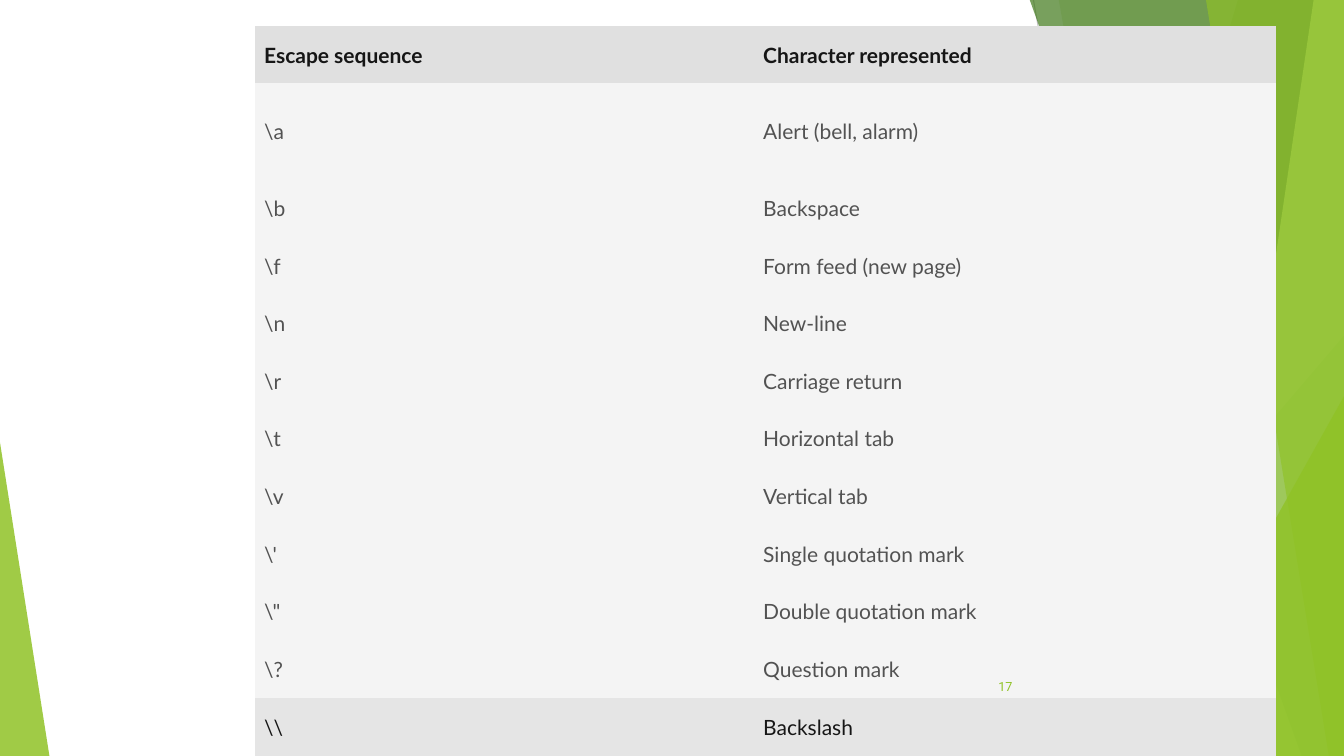
from collections import namedtuple

from lxml import etree
from pptx import Presentation
from pptx import util as u
from pptx.dml.color import RGBColor
from pptx.enum import shapes, text
from pptx.oxml import ns

PX = 9144
Box = namedtuple("Box", "left top width height")

WHITE = RGBColor(0xFF, 0xFF, 0xFF)
GREEN = RGBColor(0x90, 0xC2, 0x26)
LEAF = RGBColor(0x54, 0xA0, 0x21)
FOREST = RGBColor(0x3F, 0x78, 0x19)
LIME = RGBColor(0xC0, 0xE4, 0x74)
RULE_DARK = RGBColor(0xBF, 0xBF, 0xBF)
RULE_LIGHT = RGBColor(0xD9, 0xD9, 0xD9)
HEADER_FILL = RGBColor(0xE0, 0xE0, 0xE0)
BODY_FILL = RGBColor(0xF4, 0xF4, 0xF4)
LAST_FILL = RGBColor(0xE5, 0xE5, 0xE5)
INK = RGBColor(0x16, 0x16, 0x16)
GREY = RGBColor(0x52, 0x52, 0x52)

PAGE = Box(0, 0, 1333, 750)
ROWS = [
    ("Escape sequence", "Character represented"),
    (r"\a", "Alert (bell, alarm)"),
    (r"\b", "Backspace"),
    (r"\f", "Form feed (new page)"),
    (r"\n", "New-line"),
    (r"\r", "Carriage return"),
    (r"\t", "Horizontal tab"),
    (r"\v", "Vertical tab"),
    (r"\'", "Single quotation mark"),
    (r"\"", "Double quotation mark"),
    (r"\?", "Question mark"),
    (r"\\", "Backslash"),
]


def emu(*lengths):
    return [u.Emu(round(length * PX)) for length in lengths]


def paint(shape, color, opacity):
    shape.shadow.inherit = False
    shape.line.fill.background()
    shape.fill.solid()
    shape.fill.fore_color.rgb = color
    tint = shape.fill._xPr.find(".//" + ns.qn("a:srgbClr"))
    etree.SubElement(tint, ns.qn("a:alpha"), val=str(opacity * 1000))


def add_rule(page, start, end, color):
    rule = page.shapes.add_connector(shapes.MSO_CONNECTOR.STRAIGHT, *emu(*start, *end))
    rule.line.color.rgb = color
    rule.line.width = u.Pt(0.75)
    etree.SubElement(rule._element.spPr, ns.qn("a:effectLst"))


def add_band(page, box, top_x, bottom_x, color, opacity):
    right, bottom = box.left + box.width, box.top + box.height
    top = box.top - 1
    outline = page.shapes.build_freeform(box.left + top_x, top, scale=PX)
    outline.add_line_segments(
        [(right, top), (right, bottom), (box.left + bottom_x, bottom)], close=True)
    paint(outline.convert_to_shape(), color, opacity)


def add_corner(page, box, apex, color, opacity):
    corner = page.shapes.add_shape(shapes.MSO_SHAPE.ISOSCELES_TRIANGLE, *emu(*box))
    corner.adjustments[0] = apex
    paint(corner, color, opacity)


def add_right_corner(page, box, left, top, color, opacity):
    place = Box(box.left + left, box.top + top, box.width - left, box.height - top)
    add_corner(page, place, 1, color, opacity)


def add_facets(page, box):
    right, bottom = box.left + box.width, box.top + box.height
    add_rule(page, (box.left + 1025, box.top), (box.left + 1158, bottom), RULE_DARK)
    add_rule(page, (right, box.top + 403), (box.left + 812, bottom), RULE_LIGHT)
    add_band(page, box, 1228, 1004, GREEN, 30)
    add_band(page, box, 1050, 1183, GREEN, 20)
    add_right_corner(page, box, 977, 333, LEAF, 72)
    add_band(page, box, 1021, 1291, FOREST, 70)
    add_band(page, box, 1303, 1192, LIME, 70)
    add_band(page, box, 1196, 1318, GREEN, 65)
    add_right_corner(page, box, 1134, 393, GREEN, 80)
    add_corner(page, Box(box.left, bottom - 311, 49, 311), 0, GREEN, 85)


def set_borders(cell, top, bottom):
    properties = cell._tc.get_or_add_tcPr()
    for side, color in (("L", None), ("R", None), ("T", top), ("B", bottom)):
        line = etree.SubElement(properties, ns.qn(f"a:ln{side}"), w=str(u.Pt(0.75)))
        if color is None:
            etree.SubElement(line, ns.qn("a:noFill"))
        else:
            fill = etree.SubElement(line, ns.qn("a:solidFill"))
            etree.SubElement(fill, ns.qn("a:srgbClr"), val=str(color))


def fill_cell(cell, words, fill, ink, bold, borders):
    cell.margin_left, cell.margin_top, cell.margin_right, cell.margin_bottom = emu(9, 4, 9, 4)
    cell.vertical_anchor = text.MSO_ANCHOR.MIDDLE
    set_borders(cell, *borders)
    cell.fill.solid()
    cell.fill.fore_color.rgb = fill
    cell.text = words
    font = cell.text_frame.paragraphs[0].font
    font.name, font.size, font.bold = "Lato", u.Pt(15), bold
    font.color.rgb = ink


def add_escape_table(page, box):
    table = page.shapes.add_table(len(ROWS), 2, *emu(*box)).table
    first_width, alert_height = 495, 95
    table.columns[0].width, table.columns[1].width = emu(first_width, box.width - first_width)
    row_height = (box.height - alert_height) / (len(ROWS) - 1)
    last = len(ROWS) - 1
    for index, row in enumerate(ROWS):
        table.rows[index].height = emu(alert_height if index == 1 else row_height)[0]
        fill, ink, borders = BODY_FILL, GREY, (BODY_FILL, BODY_FILL)
        if index == 0:
            fill, ink, borders = HEADER_FILL, INK, (None, BODY_FILL)
        elif index == last - 1:
            borders = (BODY_FILL, LAST_FILL)
        elif index == last:
            fill, ink, borders = LAST_FILL, INK, (LAST_FILL, LAST_FILL)
        for column, words in enumerate(row):
            fill_cell(table.cell(index, column), words, fill, ink, index == 0, borders)


def add_page_number(page, box, number):
    frame = page.shapes.add_textbox(*emu(*box)).text_frame
    frame.word_wrap = True
    frame.vertical_anchor = text.MSO_ANCHOR.MIDDLE
    para = frame.paragraphs[0]
    para.text = number
    para.alignment = text.PP_ALIGN.RIGHT
    para.font.name, para.font.size = "Roboto", u.Pt(9)
    para.font.color.rgb = GREEN


def main():
    deck = Presentation()
    deck.slide_width, deck.slide_height = emu(PAGE.width, PAGE.height)
    page = deck.slides.add_slide(deck.slide_layouts[6])
    page.background.fill.solid()
    page.background.fill.fore_color.rgb = WHITE
    add_facets(page, PAGE)
    add_escape_table(page, Box(253, 26, 1013, 724))
    add_page_number(page, Box(939, 661, 75, 40), "17")
    deck.save("out.pptx")


if __name__ == "__main__":
    main()
